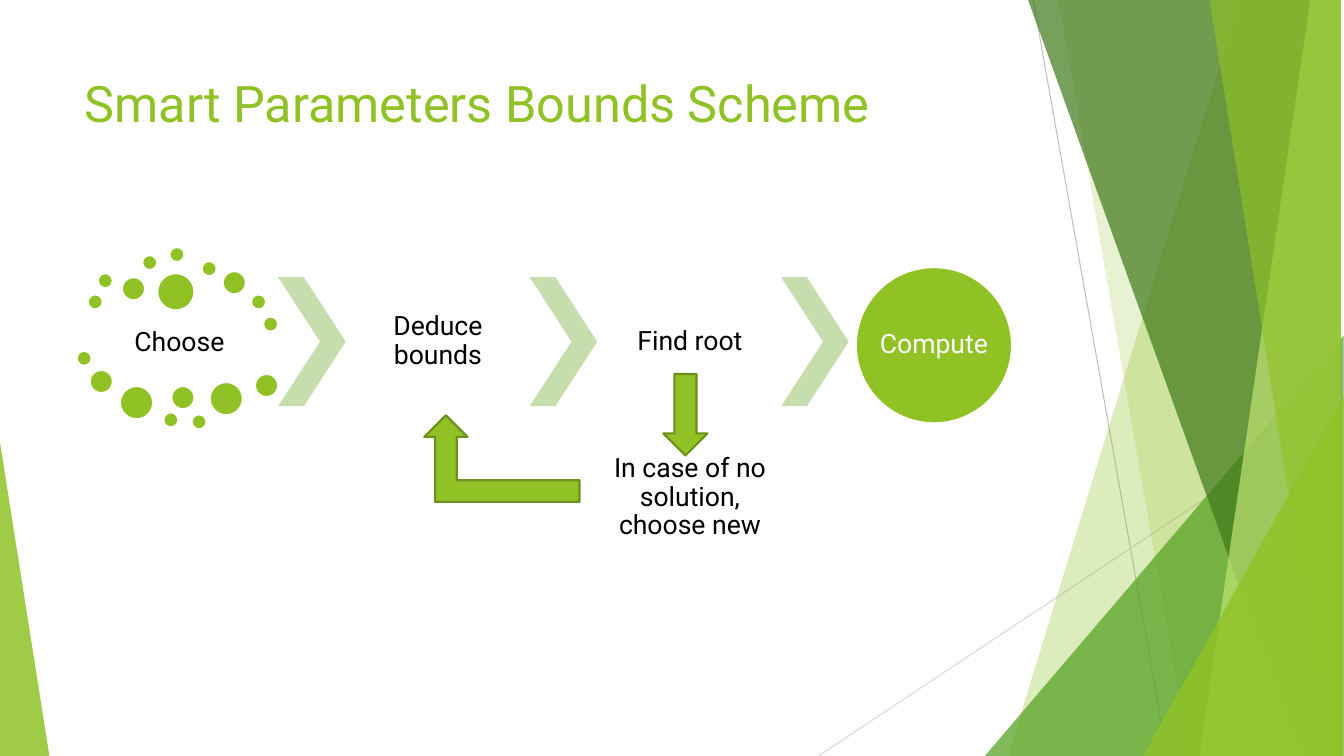
"""Build the slide on the smart parameters bounds scheme."""
from dataclasses import dataclass
from typing import NamedTuple

from lxml import etree
from pptx import Presentation
from pptx.dml.color import RGBColor
from pptx.enum.shapes import MSO_CONNECTOR, MSO_SHAPE
from pptx.enum.text import MSO_ANCHOR, PP_ALIGN
from pptx.oxml.ns import qn
from pptx.util import Emu, Inches, Pt

STRAIGHT = MSO_CONNECTOR.STRAIGHT
OVAL, TRIANGLE, CHEVRON = MSO_SHAPE.OVAL, MSO_SHAPE.ISOSCELES_TRIANGLE, MSO_SHAPE.CHEVRON
BENT_UP, DOWN = MSO_SHAPE.BENT_UP_ARROW, MSO_SHAPE.DOWN_ARROW
LEFT, CENTER = PP_ALIGN.LEFT, PP_ALIGN.CENTER
TOP, MIDDLE = MSO_ANCHOR.TOP, MSO_ANCHOR.MIDDLE

CELL = Inches(0.1)
COLUMNS, ROWS = 133.33, 75
TITLE_ONLY = 5


@dataclass(frozen=True)
class Theme:
    """Colours, font and sizes of the slide."""
    font: str = "Roboto"
    title_size: float = 36
    step_size: float = 19
    outline: float = 1.5
    hairline: float = 0.75
    green: str = "90C226"
    leaf: str = "54A021"
    forest: str = "3F7819"
    lime: str = "C0E474"
    pale: str = "C6DDAD"
    edge: str = "6B901C"
    black: str = "000000"
    white: str = "FFFFFF"


THEME = Theme()


class Box(NamedTuple):
    """A rectangle in grid columns and rows."""
    left: float
    top: float
    width: float
    height: float


class Ray(NamedTuple):
    """A thin background line with its ends on the grid."""
    start: tuple[float, float]
    end: tuple[float, float]
    color: str


class Blade(NamedTuple):
    """A full-height panel along the right edge, with its top and bottom corner."""
    top: float
    bottom: float
    color: str
    opacity: int


class Wedge(NamedTuple):
    """A corner triangle with the position of its tip."""
    box: Box
    tip: float
    color: str
    opacity: int


class Step(NamedTuple):
    """A caption of the scheme."""
    caption: str
    box: Box


RAYS = [Ray((102.5, 0), (115.8, ROWS), "BFBFBF"),
        Ray((COLUMNS, 40.3), (81.2, ROWS), "D9D9D9")]
REAR_BLADES = [Blade(122.8, 100.4, THEME.green, 30), Blade(105, 118.3, THEME.green, 20)]
FRONT_BLADES = [Blade(102.1, 129.1, THEME.forest, 70),
                Blade(130.3, 119.2, THEME.lime, 70),
                Blade(119.6, 131.8, THEME.green, 65)]
REAR_WEDGES = [Wedge(Box(97.7, 33.3, 35.6, 41.7), 1, THEME.leaf, 72)]
FRONT_WEDGES = [Wedge(Box(113.4, 39.3, 19.9, 35.7), 1, THEME.green, 80),
                Wedge(Box(0, 43.9, 4.9, 31.1), 0, THEME.green, 85)]

DOTS_BY_SIZE = {
    1.5: [(8.7, 29.2), (9.7, 27.1), (14.1, 25.3), (16.8, 24.5), (20, 25.9),
          (24.9, 29.2), (26.1, 31.4), (7.6, 34.8), (16.2, 40.9), (19, 41.1)],
    2.3: [(12.1, 27.5), (22.1, 26.9), (8.9, 36.7), (17, 38.3), (25.3, 37.1)],
    3.3: [(11.9, 38.3), (20.8, 37.9)],
    3.7: [(15.6, 27.1)],
}
FIRST_CHEVRON = Box(27.6, 27.5, 6.7, 12.8)
CHEVRON_COUNT, CHEVRON_PITCH = 3, 24.95
STEPS = [Step("Choose", Box(8.7, 31, 18.2, 6)),
         Step("Deduce\vbounds", Box(34.3, 27.5, 18.3, 12.8)),
         Step("Find root", Box(59.3, 27.5, 18.3, 12.8)),
         Step("In case of no solution, choose new", Box(59.3, 43.7, 18.3, 11.3))]


def place(box: Box) -> list[Emu]:
    """Turn grid units into slide lengths."""
    return [Emu(round(value * CELL)) for value in box]


def write(frame, text: str, *, size: float, color: str, align=CENTER,
          anchor=MIDDLE, inset: float = 0.03, spacing: float = 0.9) -> None:
    """Fill a text frame with one formatted paragraph."""
    frame.word_wrap = True
    frame.vertical_anchor = anchor
    frame.margin_left = frame.margin_right = Inches(inset)
    frame.margin_top = frame.margin_bottom = Inches(inset / 2 if align == LEFT else inset)
    frame.text = text
    paragraph = frame.paragraphs[0]
    paragraph.alignment, paragraph.line_spacing = align, spacing
    for run in paragraph.runs:
        run.font.name, run.font.size = THEME.font, Pt(size)
        run.font.color.rgb = RGBColor.from_string(color)


def paint(shape, color: str, opacity: int = 100, line: str | None = None) -> None:
    """Give a shape its fill and outline."""
    shape.shadow.inherit = False
    shape.fill.solid()
    shape.fill.fore_color.rgb = RGBColor.from_string(color)
    if opacity < 100:
        tint = shape.element.spPr.find(f"{qn('a:solidFill')}/{qn('a:srgbClr')}")
        etree.SubElement(tint, qn("a:alpha"), val=str(opacity * 1000))
    if line is None:
        shape.line.fill.background()
    else:
        shape.line.color.rgb = RGBColor.from_string(line)
        shape.line.width = Pt(THEME.outline)


def add_preset(shapes, kind, box: Box, color: str, *, opacity: int = 100,
               line: str | None = None, adjust: float | None = None):
    """Draw a painted preset shape."""
    shape = shapes.add_shape(kind, *place(box))
    if adjust is not None:
        shape.adjustments[0] = adjust
    paint(shape, color, opacity, line)
    return shape


def add_ray(shapes, ray: Ray) -> None:
    """Draw a thin background line."""
    line = shapes.add_connector(STRAIGHT, *place(Box(*ray.start, *ray.end)))
    line.line.color.rgb = RGBColor.from_string(ray.color)
    line.line.width = Pt(THEME.hairline)
    etree.SubElement(line.element.spPr, qn("a:effectLst"))


def add_blade(shapes, blade: Blade) -> None:
    """Draw a slanted panel that reaches the right edge."""
    outline = shapes.build_freeform(blade.top, 0, scale=CELL)
    outline.add_line_segments([(COLUMNS, 0), (COLUMNS, ROWS), (blade.bottom, ROWS)], close=True)
    paint(outline.convert_to_shape(), blade.color, blade.opacity)


def add_wedge(shapes, wedge: Wedge) -> None:
    """Draw a corner triangle."""
    add_preset(shapes, TRIANGLE, wedge.box, wedge.color, opacity=wedge.opacity, adjust=wedge.tip)


def add_backdrop(shapes) -> None:
    """Draw the decoration from back to front."""
    for ray in RAYS:
        add_ray(shapes, ray)
    for blades, wedges in ((REAR_BLADES, REAR_WEDGES), (FRONT_BLADES, FRONT_WEDGES)):
        for blade in blades:
            add_blade(shapes, blade)
        for wedge in wedges:
            add_wedge(shapes, wedge)


def add_title(shapes) -> None:
    """Place the title in front of the backdrop."""
    title = shapes.title
    title.left, title.top, title.width, title.height = place(Box(7.4, 6.7, 94, 7.9))
    write(title.text_frame, "Smart Parameters Bounds Scheme", size=THEME.title_size,
          color=THEME.green, align=LEFT, anchor=TOP, inset=0.1, spacing=1)
    shapes.element.append(title.element)


def add_scheme(shapes) -> None:
    """Draw the steps, the chevrons between them and the loop back."""
    for size, corners in DOTS_BY_SIZE.items():
        for left, top in corners:
            add_preset(shapes, OVAL, Box(left, top, size, size), THEME.green, line=THEME.white)
    for index in range(CHEVRON_COUNT):
        box = FIRST_CHEVRON._replace(left=FIRST_CHEVRON.left + index * CHEVRON_PITCH)
        add_preset(shapes, CHEVRON, box, THEME.pale, adjust=0.62)
    for step in STEPS:
        caption = shapes.add_textbox(*place(step.box))
        write(caption.text_frame, step.caption, size=THEME.step_size, color=THEME.black)
    goal = add_preset(shapes, OVAL, Box(84.9, 26.5, 15.5, 15.5), THEME.green, line=THEME.white)
    write(goal.text_frame, "Compute", size=THEME.step_size, color=THEME.white, inset=0)
    retry = add_preset(shapes, BENT_UP, Box(42.1, 41.2, 15.4, 8.6), THEME.green, line=THEME.edge)
    retry.element.spPr.get_or_add_xfrm().set("flipH", "1")
    add_preset(shapes, DOWN, Box(65.8, 37.1, 4.4, 8.1), THEME.green, line=THEME.edge)


def main() -> None:
    """Build and save the slide."""
    deck = Presentation()
    deck.slide_width, deck.slide_height = Inches(COLUMNS / 10), Inches(ROWS / 10)
    shapes = deck.slides.add_slide(deck.slide_layouts[TITLE_ONLY]).shapes
    add_backdrop(shapes)
    add_title(shapes)
    add_scheme(shapes)
    deck.save("out.pptx")


if __name__ == "__main__":
    main()
